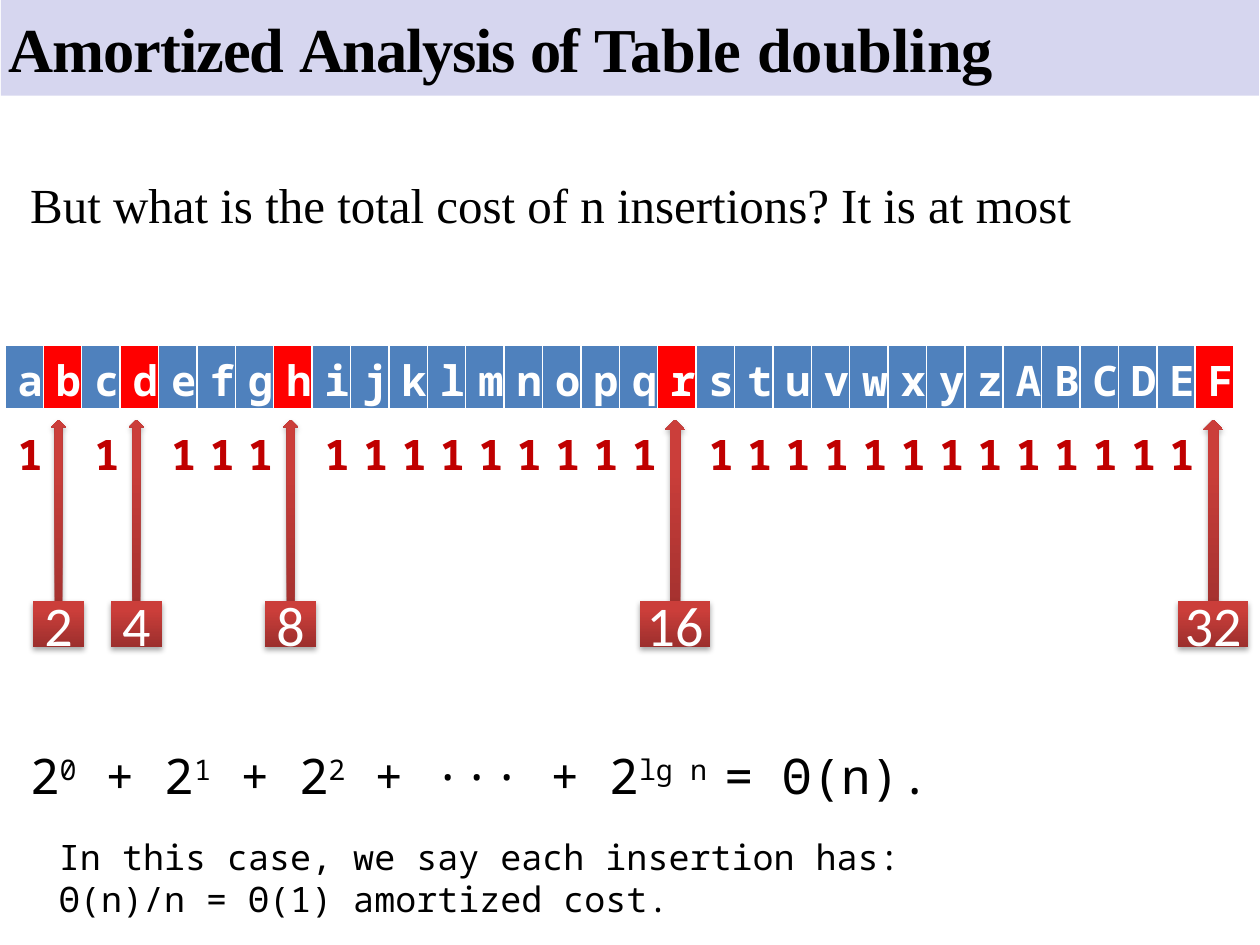
from lxml import etree
from pptx import Presentation
from pptx.dml.color import RGBColor
from pptx.enum.shapes import MSO_SHAPE
from pptx.enum.text import MSO_ANCHOR, MSO_AUTO_SIZE, PP_ALIGN
from pptx.oxml.ns import qn
from pptx.util import Cm, Pt

RECT, ARROW = MSO_SHAPE.RECTANGLE, MSO_SHAPE.UP_ARROW
CENTER, MIDDLE = PP_ALIGN.CENTER, MSO_ANCHOR.MIDDLE
GROW = MSO_AUTO_SIZE.SHAPE_TO_FIT_TEXT
BLACK = RGBColor(0x00, 0x00, 0x00)
WHITE = RGBColor(0xFF, 0xFF, 0xFF)
LILAC = RGBColor(0xD6, 0xD6, 0xEF)
BLUE = RGBColor(0x4F, 0x81, 0xBD)
RED = RGBColor(0xFF, 0x00, 0x00)
CRIMSON = RGBColor(0xC0, 0x00, 0x00)
DARK = RGBColor(0x9C, 0x2F, 0x2D)
LIGHT = RGBColor(0xCB, 0x3E, 0x3A)
SERIF, MONO, SANS = "Times New Roman", "Noto Sans Mono", "Calibri"


def write(par, text, look, **extra):
    run = par.add_run()
    run.text = text
    for key, value in look.items():
        if key == "color":
            run.font.color.rgb = value
        else:
            setattr(run.font, key, value)
    for key, value in extra.items():
        run._r.get_or_add_rPr().set(key, str(value))


def shade(shape):
    shape.line.fill.background()
    shape.fill.gradient()
    shape.fill.gradient_angle = 90
    for stop, color, place in zip(shape.fill.gradient_stops, (DARK, LIGHT), (0, 0.8)):
        stop.color.rgb = color
        stop.position = place
    shape.shadow.inherit = False
    effects = shape._element.spPr.find(qn("a:effectLst"))
    drop = etree.SubElement(effects, qn("a:outerShdw"), blurRad="40000",
                            dist="23000", dir="5400000", rotWithShape="0")
    tint = etree.SubElement(drop, qn("a:srgbClr"), val="000000")
    etree.SubElement(tint, qn("a:alpha"), val="35000")


deck = Presentation()
deck.slide_width, deck.slide_height = Cm(25.4), Cm(19.05)
slide = deck.slides.add_slide(deck.slide_layouts[6])
shapes = slide.shapes

# Title band
band = shapes.add_shape(RECT, Cm(0.02), 0, Cm(25.36), Cm(1.93))
band.shadow.inherit = False
band.fill.solid()
band.fill.fore_color.rgb = LILAC
band.line.fill.background()

# Text blocks: place, paragraphs of (text, run attributes)
title = {"name": SERIF, "size": Pt(35.7), "bold": True, "color": BLACK}
lead = {"name": SERIF, "size": Pt(28), "color": BLACK}
sum_look = {"name": MONO, "size": Pt(28), "color": BLACK}
note = {"name": MONO, "size": Pt(20), "color": BLACK}
up = {"baseline": 30000}
blocks = [
    ((0.1, 0.1, 24.38, 1.63), title, [[
        ("Amortized ", {"spc": -60}), ("Analysis ", {"spc": -70}),
        ("of ", {"spc": -80}), ("Table doubling", {})]]),
    ((0.36, 3.4, 23.9, 1.45), lead, [[
        ("But what is the total cost of n insertions? It is at most", {})]]),
    ((0.36, 14.91, 20.45, 1.45), sum_look, [[
        ("2", {}), ("0", up), (" + 2", {}), ("1", up), (" + 2", {}), ("2", up),
        (" + ··· + 2", {}), ("lg n ", up), ("= Θ(n).", {})]]),
    ((0.94, 16.71, 23.32, 1.96), note, [
        [("In this case, we say each insertion has:", {})],
        [("Θ(n)/n = Θ(1) amortized cost.", {})]]),
]
for place, look, lines in blocks:
    frame = shapes.add_textbox(*map(Cm, place)).text_frame
    frame.word_wrap = True
    frame.auto_size = GROW
    if look is title:
        frame.margin_left, frame.margin_top = Cm(0.08), Cm(0.1)
        frame.margin_right = frame.margin_bottom = 0
        frame.paragraphs[0].space_before = Pt(2.7)
    for i, line in enumerate(lines):
        par = frame.add_paragraph() if i else frame.paragraphs[0]
        for text, extra in line:
            write(par, text, look, **extra)

# Table of items and table of unit costs; the costly items hold no 1
items = "abcdefghijklmnopqrstuvwxyzABCDEF"
costly = "bdhrF"
ones = ["" if item in costly else "1" for item in items]
for top, texts, ink in ((6.96, items, WHITE), (8.46, ones, CRIMSON)):
    grid = shapes.add_table(1, len(items), Cm(0.1), Cm(top), Cm(24.77), Cm(1.04)).table
    look = {"name": MONO, "size": Pt(24), "bold": True, "color": ink}
    for cell, item, text in zip(grid.rows[0].cells, items, texts):
        if ink == WHITE:
            cell.fill.solid()
            cell.fill.fore_color.rgb = RED if item in costly else BLUE
        else:
            cell.fill.background()
        par = cell.text_frame.paragraphs[0]
        par.alignment = CENTER
        if text:
            write(par, text, look)

# Doubling costs: arrow and box around one centre
white = {"name": SANS, "size": Pt(32), "color": WHITE}
for mid, cost in ((1.18, 2), (2.75, 4), (5.86, 8), (13.61, 16), (24.46, 32)):
    thin, wide = (0.3, 1.04) if cost < 10 else (0.4, 1.42)
    group = shapes.add_group_shape().shapes
    arrow = group.add_shape(ARROW, Cm(mid - thin / 2), Cm(8.46), Cm(thin), Cm(4.34))
    box = group.add_shape(RECT, Cm(mid - wide / 2), Cm(12.12), Cm(wide), Cm(0.92))
    shade(arrow)
    shade(box)
    frame = box.text_frame
    frame.margin_left = frame.margin_right = 0
    frame.vertical_anchor = MIDDLE
    frame.paragraphs[0].alignment = CENTER
    write(frame.paragraphs[0], str(cost), white)

deck.save("out.pptx")
